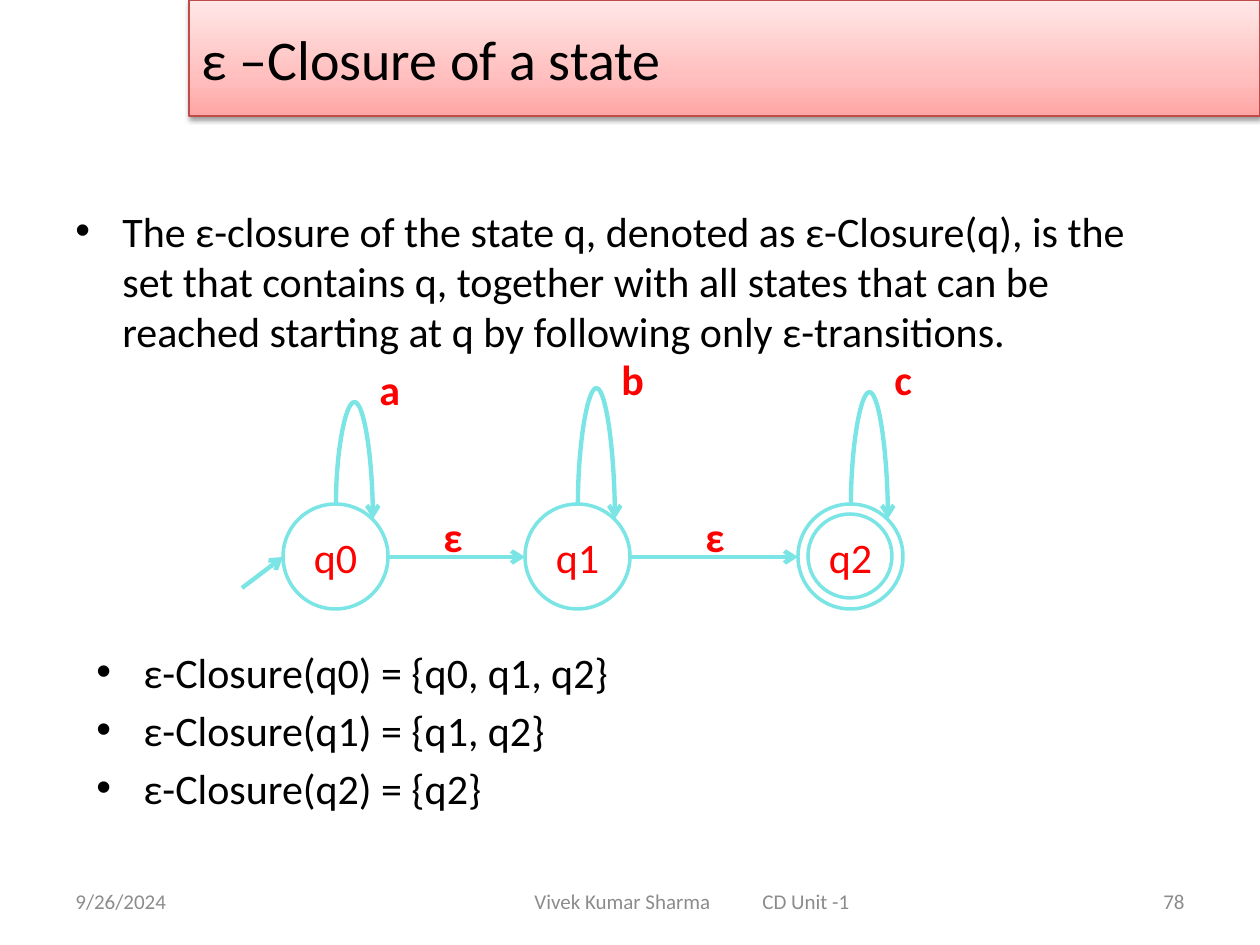
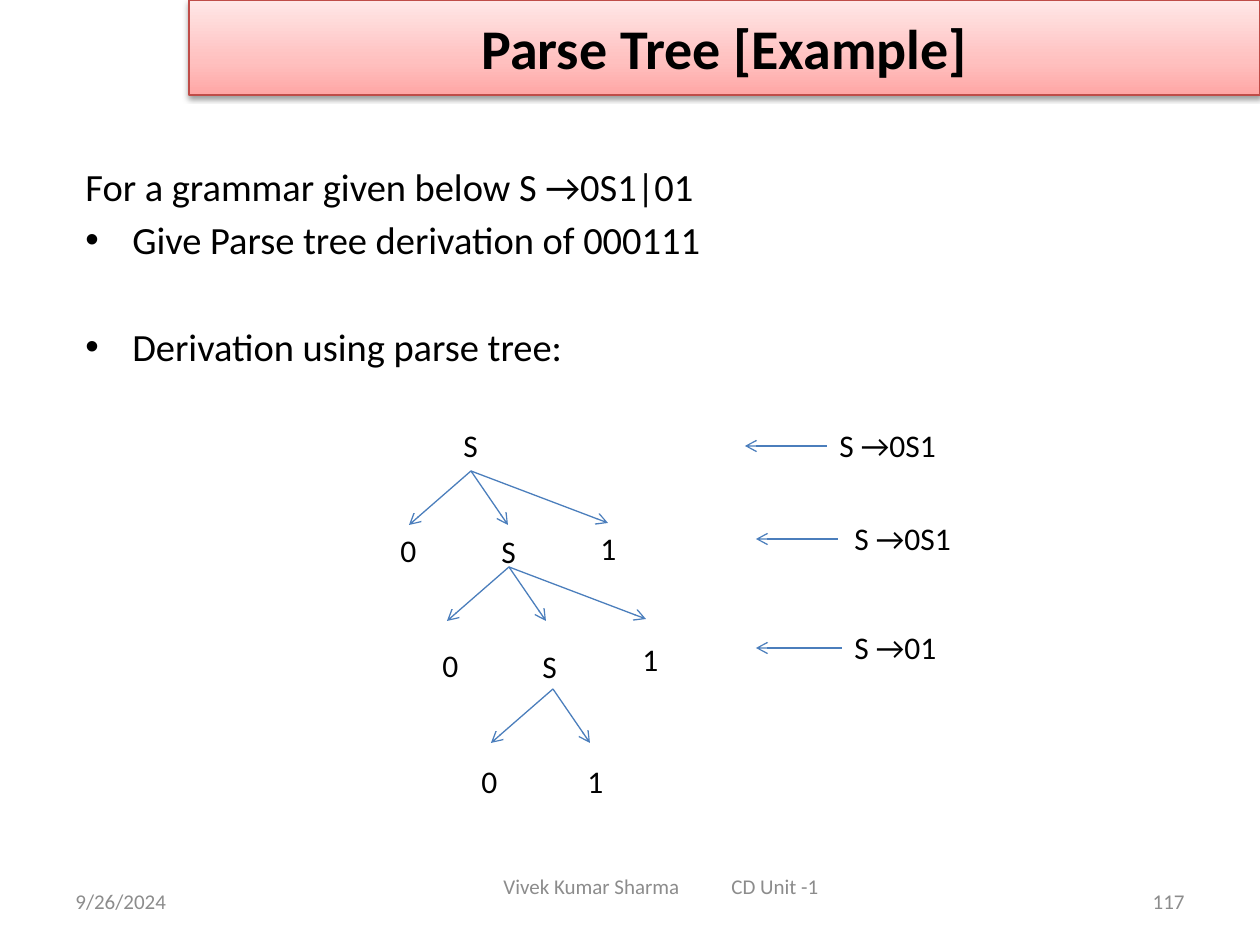
from lxml import etree
from pptx import Presentation
from pptx.dml.color import RGBColor
from pptx.enum.shapes import MSO_CONNECTOR, MSO_SHAPE
from pptx.enum.text import MSO_ANCHOR, PP_ALIGN
from pptx.oxml import parse_xml
from pptx.oxml.ns import nsdecls, qn
from pptx.util import Pt

PX = 7257  # EMU per px, 126 px to the inch
FONT = "Calibri"
BLACK = RGBColor(0x00, 0x00, 0x00)
RED = RGBColor(0xFF, 0x00, 0x00)
GREY = RGBColor(0x8C, 0x8C, 0x8C)
CYAN = RGBColor(0x7B, 0xE5, 0xE5)
BLUE = RGBColor(0x4B, 0x7E, 0xBC)
BAND_LINE = RGBColor(0xBF, 0x4C, 0x48)
BAND_STOPS = ((0, "FFA6A5"), (35, "FFC0BF"), (100, "FFE7E7"))
LEFT, CENTER, RIGHT = PP_ALIGN.LEFT, PP_ALIGN.CENTER, PP_ALIGN.RIGHT
TOP, MIDDLE = MSO_ANCHOR.TOP, MSO_ANCHOR.MIDDLE
RECTANGLE, OVAL = MSO_SHAPE.RECTANGLE, MSO_SHAPE.OVAL
STRAIGHT, CURVE = MSO_CONNECTOR.STRAIGHT, MSO_CONNECTOR.CURVE
BULLET_INDENT = 47 * PX


def add_text(slide, text, left, top, width, height, preset=None, size=18,
             color=BLACK, bold=False, align=LEFT, anchor=TOP, wrap=True,
             line=None, line_width=2, gaps=(), first_bullet=None, tab=None):
    """Add a text box, or an unfilled preset shape, one paragraph per text line."""
    box = [length * PX for length in (left, top, width, height)]
    if preset is None:
        shape = slide.shapes.add_textbox(*box)
    else:
        shape = slide.shapes.add_shape(preset, *box)
        shape.shadow.inherit = False
        shape.fill.background()
        shape.line.color.rgb = line
        shape.line.width = Pt(line_width)
    frame = shape.text_frame
    frame.word_wrap = wrap
    frame.vertical_anchor = anchor
    for index, words in enumerate(text.splitlines()):
        paragraph = frame.add_paragraph() if index else frame.paragraphs[0]
        paragraph.alignment = align
        if index and gaps:
            paragraph.space_before = Pt(gaps[index - 1])
        properties = paragraph._p.get_or_add_pPr()
        if first_bullet is not None and index >= first_bullet:
            properties.set("marL", str(BULLET_INDENT))
            properties.set("indent", str(-BULLET_INDENT))
            etree.SubElement(properties, qn("a:buFont"), typeface="Arial")
            etree.SubElement(properties, qn("a:buChar"), char="•")
        if tab:
            stops = etree.SubElement(properties, qn("a:tabLst"))
            etree.SubElement(stops, qn("a:tab"), pos=str(tab * PX), algn="l")
        paragraph.font.size = Pt(size)
        run = paragraph.add_run()
        run.text = words
        run.font.name = FONT
        run.font.size = Pt(size)
        run.font.bold = bold
        run.font.color.rgb = color
    return shape


def add_arrow(slide, start, end, color, width, kind=STRAIGHT):
    """Add an open-headed arrow between two points."""
    connector = slide.shapes.add_connector(
        kind, *[length * PX for length in (*start, *end)])
    connector.line.color.rgb = color
    connector.line.width = Pt(width)
    properties = connector.element.find(qn("p:spPr"))
    etree.SubElement(properties.find(qn("a:ln")), qn("a:tailEnd"), type="arrow")
    etree.SubElement(properties, qn("a:effectLst"))
    return connector


presentation = Presentation()
presentation.slide_width = 1260 * PX
presentation.slide_height = 945 * PX
blank = presentation.slide_layouts[6]

# Shared title band and footers: title, height, align, bold, number, footer place
frames = (
    ("ε –Closure of a state", 116, LEFT, False, "78", (522, 876)),
    ("Parse Tree [Example]", 95, CENTER, True, "117", (491, 861)),
)
stops = "".join(f'<a:gs pos="{position * 1000}"><a:srgbClr val="{color}"/></a:gs>'
                for position, color in BAND_STOPS)
for title, height, align, bold, number, (footer_left, footer_top) in frames:
    slide = presentation.slides.add_slide(blank)
    band = add_text(slide, title, 189, 0, 1071, height, preset=RECTANGLE, size=32,
                    bold=bold, align=align, anchor=MIDDLE,
                    line=BAND_LINE, line_width=0.75)
    properties = band.element.find(qn("p:spPr"))
    properties.replace(properties.find(qn("a:noFill")), parse_xml(
        f'<a:gradFill {nsdecls("a")} rotWithShape="1"><a:gsLst>{stops}</a:gsLst>'
        '<a:lin ang="16200000" scaled="0"/></a:gradFill>'))
    properties.find(qn("a:effectLst")).append(parse_xml(
        f'<a:outerShdw {nsdecls("a")} blurRad="40000" dist="20000" dir="5400000" '
        'rotWithShape="0"><a:srgbClr val="000000"><a:alpha val="38000"/>'
        '</a:srgbClr></a:outerShdw>'))
    footer = {"size": 12, "color": GREY, "anchor": MIDDLE}
    add_text(slide, "9/26/2024", 63, 876, 294, 50, **footer)
    add_text(slide, "Vivek Kumar Sharma\tCD Unit -1", footer_left, footer_top,
             345, 50, tab=228, **footer)
    add_text(slide, number, 903, 876, 294, 50, align=RIGHT, **footer)

closure_slide, tree_slide = presentation.slides

# Closure slide: definition and results
add_text(closure_slide,
         "The ε-closure of the state q, denoted as ε-Closure(q), is the set that "
         "contains q, together with all states that can be reached starting at q "
         "by following only ε-transitions.",
         63, 199, 1134, 179, size=24, first_bullet=0)
add_text(closure_slide,
         "ε-Closure(q0) = {q0, q1, q2}\nε-Closure(q1) = {q1, q2}\nε-Closure(q2) = {q2}",
         84, 640, 1134, 179, size=24, first_bullet=0, gaps=(4.4, 4.4))

# Automaton: state, left edge, loop symbol, symbol top, loop height adjustment
STATE_TOP, STATE_SIZE, AXIS = 504, 105, 557
states = (
    ("q0", 283, "a", 357, -680600),
    ("q1", 525, "b", 347, -773200),
    ("q2", 798, "c", 347, -746700),
)
label = {"size": 24, "color": RED}
for state, left, symbol, symbol_top, adjustment in states:
    loop = add_arrow(closure_slide, (left + 79, 493), (left + 64, 530),
                     CYAN, 2.5, kind=CURVE)
    properties = loop.element.find(qn("p:spPr"))
    properties.find(qn("a:xfrm")).set("rot", "16200000")
    guides = properties.find(qn("a:prstGeom")).find(qn("a:avLst"))
    etree.SubElement(guides, qn("a:gd"), name="adj1", fmla=f"val {adjustment}")
    add_text(closure_slide, state, left, STATE_TOP, STATE_SIZE, STATE_SIZE,
             preset=OVAL, line=CYAN, align=CENTER, anchor=MIDDLE, wrap=False, **label)
    add_text(closure_slide, symbol, left + 84, symbol_top, 74, 63, bold=True, **label)

# Inner ring of the accepting state, start arrow and ε-transitions
add_text(closure_slide, "", 808, 514, 84, 84, preset=OVAL, line=CYAN)
add_arrow(closure_slide, (242, 588), (283, AXIS), CYAN, 2.5)
for source, target, label_left in ((283, 525, 431), (525, 798, 693)):
    add_arrow(closure_slide, (source + STATE_SIZE, AXIS), (target, AXIS), CYAN, 2.5)
    add_text(closure_slide, "ε", label_left, 504, 74, 63, bold=True, **label)

# Parse tree slide: task
add_text(tree_slide,
         "For a grammar given below S →0S1|01\n"
         "Give Parse tree derivation of 000111\n"
         "Derivation using parse tree:",
         73, 157, 1134, 624, size=22, first_bullet=1, gaps=(4, 34.4))

# Tree: each apex with its children (symbol, left, top)
add_text(tree_slide, "S", 451, 420, 41, 50, wrap=False)
branch_offsets = ((-62, 54), (37, 54), (137, 52))
levels = (
    ((471, 471), (("0", 388, 525), ("S", 489, 526), ("1", 588, 523))),
    ((509, 567), (("0", 430, 640), ("S", 530, 641), ("1", 630, 634))),
    ((553, 689), (("0", 469, 756), ("1", 575, 756))),
)
for (apex_x, apex_y), children in levels:
    for (symbol, left, top), (shift_x, shift_y) in zip(children, branch_offsets):
        add_arrow(tree_slide, (apex_x, apex_y),
                  (apex_x + shift_x, apex_y + shift_y), BLUE, 0.75)
        add_text(tree_slide, symbol, left, top, 41, 50, wrap=False)

# Productions used at each level: text, left, top, width, arrow start and end
productions = (
    ("S →0S1", 827, 420, 123, 827, 745),
    ("S →0S1", 842, 513, 123, 838, 756),
    ("S →01", 842, 622, 108, 842, 756),
)
for production, left, top, width, start, end in productions:
    add_text(tree_slide, production, left, top, width, 50, wrap=False)
    add_arrow(tree_slide, (start, top + 26), (end, top + 26), BLUE, 0.75)

presentation.save("out.pptx")
